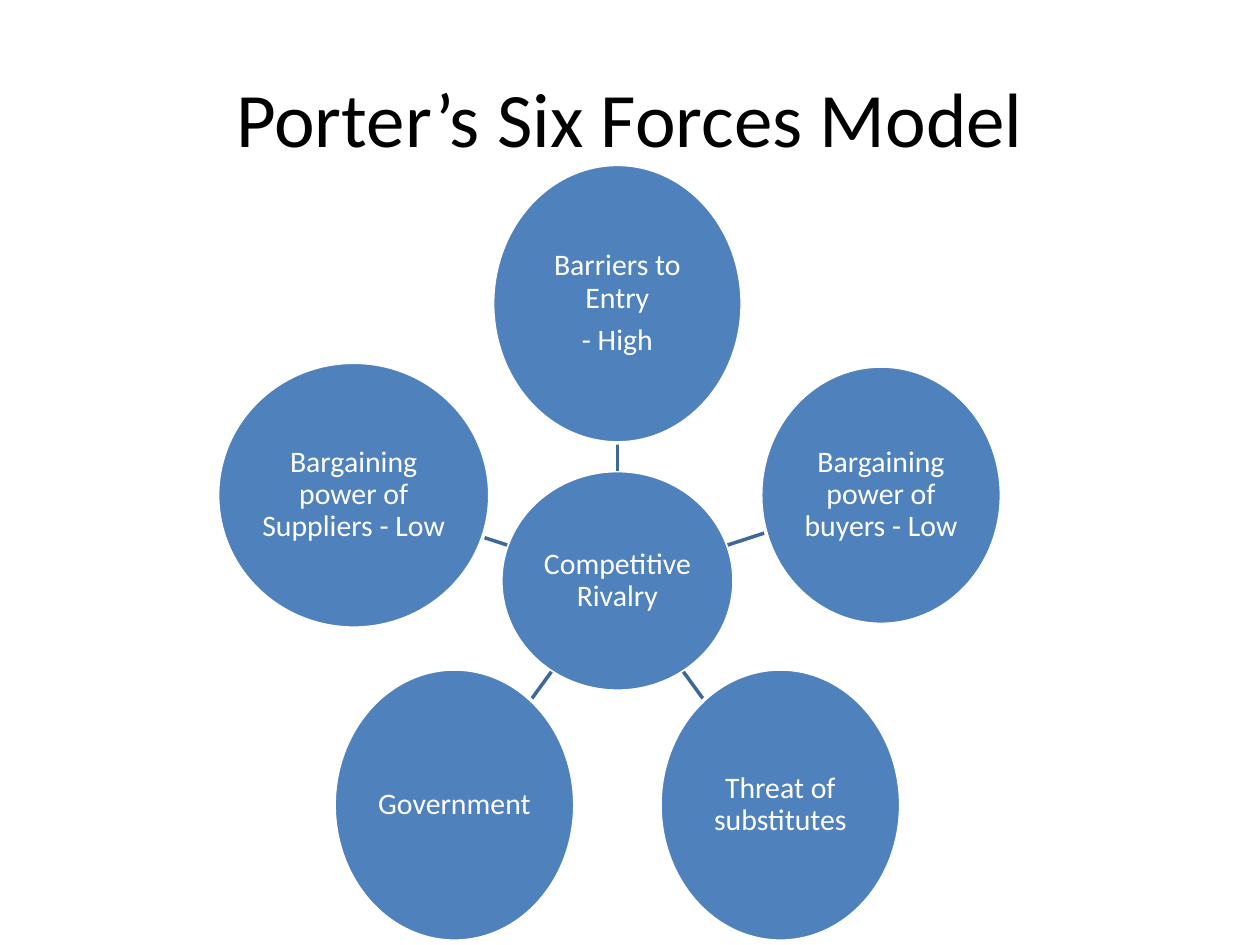
from math import cos, hypot, radians, sin

from lxml import etree
from pptx import Presentation
from pptx.dml.color import RGBColor
from pptx.enum.shapes import MSO_CONNECTOR, MSO_SHAPE
from pptx.enum.text import MSO_ANCHOR, PP_ALIGN
from pptx.oxml.ns import qn
from pptx.util import Inches, Pt

ELLIPSE, STRAIGHT = MSO_SHAPE.OVAL, MSO_CONNECTOR.STRAIGHT
MIDDLE, CENTER = MSO_ANCHOR.MIDDLE, PP_ALIGN.CENTER
BLUE = RGBColor(0x4F, 0x81, 0xBD)
DARK_BLUE = RGBColor(0x3F, 0x67, 0x97)
WHITE = RGBColor(0xFF, 0xFF, 0xFF)
BLACK = RGBColor(0, 0, 0)
FONT = "Calibri"

TITLE = "Porter’s Six Forces Model"
RIVALRY = (["Competitive Rivalry"], 1.85, 1.75)
FORCES = [
    (["Barriers to Entry", "- High"], 1.98, 2.21),
    (["Bargaining power of buyers - Low"], 1.91, 2.05),
    (["Threat of substitutes"], 1.91, 2.16),
    (["Government"], 1.91, 2.16),
    (["Bargaining power of Suppliers - Low"], 2.16, 2.11),
]
HUB_X, HUB_Y = 4.9, 4.61
ORBIT = 2.2


def style_text(paragraph, size, color):
    paragraph.alignment = CENTER
    paragraph.font.name = FONT
    paragraph.font.size = Pt(size)
    paragraph.font.color.rgb = color


def point_at(angle, distance):
    return HUB_X + distance * cos(angle), HUB_Y + distance * sin(angle)


def edge_distance(width, height, angle):
    return 0.5 / hypot(cos(angle) / width, sin(angle) / height)


def add_force(slide, force, x, y):
    lines, width, height = force
    circle = slide.shapes.add_shape(
        ELLIPSE, Inches(x - width / 2), Inches(y - height / 2), Inches(width), Inches(height)
    )
    circle.shadow.inherit = False
    circle.fill.solid()
    circle.fill.fore_color.rgb = BLUE
    circle.line.color.rgb = WHITE
    circle.line.width = Pt(2)
    frame = circle.text_frame
    frame.word_wrap = True
    frame.vertical_anchor = MIDDLE
    frame.margin_left = frame.margin_right = Inches(0.01)
    frame.margin_top = frame.margin_bottom = Inches(0.01)
    frame.text = "\n".join(lines)
    for paragraph in frame.paragraphs:
        style_text(paragraph, 17, WHITE)
        paragraph.line_spacing = 0.9
        paragraph.space_after = Pt(6)


def add_spoke(slide, angle, inner, outer):
    ends = point_at(angle, inner) + point_at(angle, outer)
    spoke = slide.shapes.add_connector(STRAIGHT, *(Inches(value) for value in ends))
    spoke.line.color.rgb = DARK_BLUE
    spoke.line.width = Pt(2)
    etree.SubElement(spoke._element.spPr, qn("a:effectLst"))


def main():
    deck = Presentation()
    deck.slide_width, deck.slide_height = Inches(10), Inches(7.5)
    slide = deck.slides.add_slide(deck.slide_layouts[5])

    title = slide.shapes.title
    title.left, title.top = Inches(0.5), Inches(0.3)
    title.width, title.height = Inches(9), Inches(1.25)
    title.text_frame.text = TITLE
    title.text_frame.vertical_anchor = MIDDLE
    style_text(title.text_frame.paragraphs[0], 44, BLACK)

    add_force(slide, RIVALRY, HUB_X, HUB_Y)
    for index, force in enumerate(FORCES):
        angle = radians(index * 360 / len(FORCES) - 90)
        inner = edge_distance(*RIVALRY[1:], angle)
        outer = ORBIT - edge_distance(*force[1:], angle)
        add_spoke(slide, angle, inner, outer)
        add_force(slide, force, *point_at(angle, ORBIT))

    deck.save("out.pptx")


if __name__ == "__main__":
    main()
